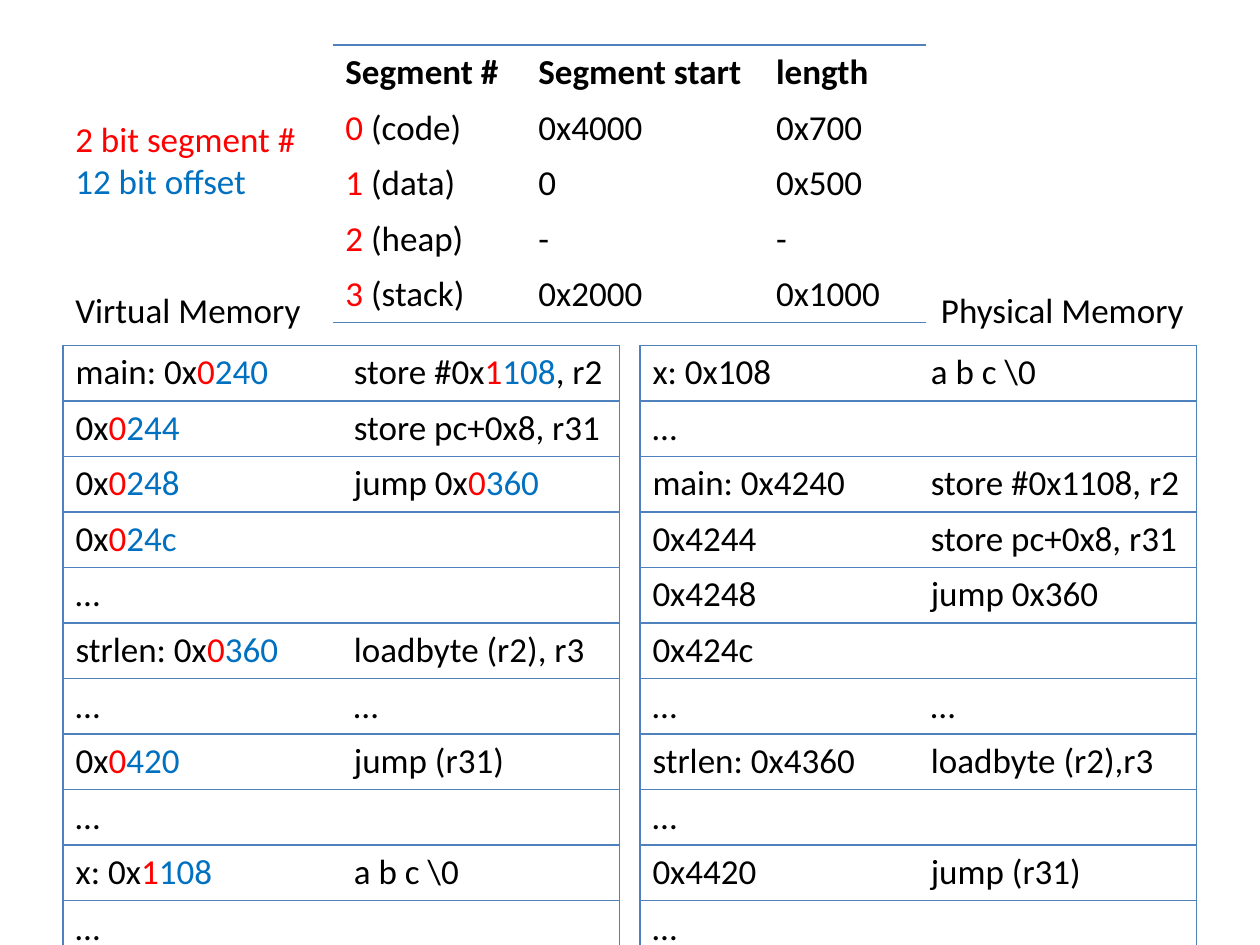
import pptx
import pptx.dml.color
import pptx.enum.text
import pptx.oxml
import pptx.oxml.ns
import pptx.util
from pptx.util import Cm

BLACK = pptx.dml.color.RGBColor(0x00, 0x00, 0x00)
WHITE = pptx.dml.color.RGBColor(0xFF, 0xFF, 0xFF)
SEGMENT_RED = pptx.dml.color.RGBColor(0xFF, 0x00, 0x00)
OFFSET_BLUE = pptx.dml.color.RGBColor(0x00, 0x70, 0xC0)
RULE_BLUE = pptx.dml.color.RGBColor(0x4F, 0x81, 0xBD)

FONT_FORMAT = {"name": "Calibri", "size": pptx.util.Pt(20), "bold": False}
HEADER_FORMAT = {**FONT_FORMAT, "bold": True}
LABEL_FORMAT = {
    "word_wrap": False,
    "auto_size": pptx.enum.text.MSO_AUTO_SIZE.SHAPE_TO_FIT_TEXT,
}
PLAIN_TABLE_FORMAT = {"first_row": False, "horz_banding": False}
NO_STYLE = "{2D5ABB26-0587-4C30-8999-92F81FD0307C}"

ROW_HEIGHT = Cm(1.04)
MARGIN = Cm(1.27)
MEMORY_TOP = Cm(6.96)
MEMORY_COLUMNS = [Cm(5.61)] * 2
PHYSICAL_LEFT = Cm(12.9)

SEGMENTS = [
    ("Segment #", "Segment start", "length"),
    ("0 (code)", "0x4000", "0x700"),
    ("1 (data)", "0", "0x500"),
    ("2 (heap)", "-", "-"),
    ("3 (stack)", "0x2000", "0x1000"),
]
VIRTUAL_MEMORY = [
    ("main: 0x0240", "store #0x1108, r2"),
    ("0x0244", "store pc+0x8, r31"),
    ("0x0248", "jump 0x0360"),
    ("0x024c", ""),
    ("…", ""),
    ("strlen: 0x0360", "loadbyte (r2), r3"),
    ("…", "…"),
    ("0x0420", "jump (r31)"),
    ("…", ""),
    ("x: 0x1108", "a b c \\0"),
    ("…", ""),
]
PHYSICAL_MEMORY = [
    ("x: 0x108", "a b c \\0"),
    ("…", ""),
    ("main: 0x4240", "store #0x1108, r2"),
    ("0x4244", "store pc+0x8, r31"),
    ("0x4248", "jump 0x360"),
    ("0x424c", ""),
    ("…", "…"),
    ("strlen: 0x4360", "loadbyte (r2),r3"),
    ("…", ""),
    ("0x4420", "jump (r31)"),
    ("…", ""),
]


def apply_format(target, values):
    """Set each named attribute of target."""
    for name, value in values.items():
        setattr(target, name, value)


def write_runs(paragraph, runs, font_format=FONT_FORMAT):
    """Add (text, colour) runs to a paragraph, skipping empty ones."""
    for text, colour in runs:
        if text:
            run = paragraph.add_run()
            run.text = text
            apply_format(run.font, font_format)
            run.font.color.rgb = colour


def plain_runs(text, row, column):
    """Keep the text in one black run."""
    return [(text, BLACK)]


def address_runs(text, row, column):
    """Colour the segment digit and the offset of a four-digit address."""
    before, prefix, after = text.partition("0x")
    address = after[:4]
    if len(address) < 4 or not set(address) <= set("0123456789abcdef"):
        return plain_runs(text, row, column)
    return [(before + prefix, BLACK), (address[0], SEGMENT_RED),
            (address[1:], OFFSET_BLUE), (after[4:], BLACK)]


def segment_runs(text, row, column):
    """Colour the segment number that opens each body row."""
    if row and column == 0:
        return [(text[0], SEGMENT_RED), (text[1:], BLACK)]
    return plain_runs(text, row, column)


def memory_sides(row, column, row_count):
    """Rule every row and close the outer left and right sides."""
    return ("L" if column == 0 else "R") + "TB"


def segment_sides(row, column, row_count):
    """Rule above and below the header and below the last row."""
    return {0: "TB", row_count - 1: "B"}.get(row, "")


def draw_borders(cell, sides):
    """Draw one-point rules on the given sides and clear the others."""
    properties = cell._tc.get_or_add_tcPr()
    for side in "LRTB":
        paint = (f'<a:solidFill><a:srgbClr val="{RULE_BLUE}"/></a:solidFill>'
                 if side in sides else "<a:noFill/>")
        properties.append(pptx.oxml.parse_xml(
            f'<a:ln{side} {pptx.oxml.ns.nsdecls("a")} w="12700">{paint}</a:ln{side}>'))


def add_grid(slide, left, top, widths, height, rows, runs_for, sides_for,
             fill=None, header_format=FONT_FORMAT):
    """Add a ruled table whose text and borders follow the given rules."""
    frame = slide.shapes.add_table(len(rows), len(widths), left, top,
                                   sum(widths), height)
    grid = frame.table
    apply_format(grid, PLAIN_TABLE_FORMAT)
    grid._tbl.tblPr.find(pptx.oxml.ns.qn("a:tableStyleId")).text = NO_STYLE
    for column, width in zip(grid.columns, widths):
        column.width = width
    for r, texts in enumerate(rows):
        grid.rows[r].height = ROW_HEIGHT
        for c, text in enumerate(texts):
            cell = grid.cell(r, c)
            draw_borders(cell, sides_for(r, c, len(rows)))
            if fill is None:
                cell.fill.background()
            else:
                cell.fill.solid()
                cell.fill.fore_color.rgb = fill
            write_runs(cell.text_frame.paragraphs[0], runs_for(text, r, c),
                       FONT_FORMAT if r else header_format)
    frame.height = height


def add_label(slide, left, top, width, height, lines):
    """Add an unwrapped text box with one (text, colour) pair per line."""
    frame = slide.shapes.add_textbox(left, top, width, height).text_frame
    apply_format(frame, LABEL_FORMAT)
    for i, line in enumerate(lines):
        paragraph = frame.add_paragraph() if i else frame.paragraphs[0]
        write_runs(paragraph, [line])


def main():
    """Build the segmentation slide."""
    deck = pptx.Presentation()
    apply_format(deck, {"slide_width": Cm(25.4), "slide_height": Cm(19.05)})
    slide = deck.slides.add_slide(deck.slide_layouts[6])

    for left, rows, runs_for in (
        (MARGIN, VIRTUAL_MEMORY, address_runs),
        (PHYSICAL_LEFT, PHYSICAL_MEMORY, plain_runs),
    ):
        add_grid(slide, left, MEMORY_TOP, MEMORY_COLUMNS, Cm(12.12), rows,
                 runs_for, memory_sides, fill=WHITE)
    add_grid(slide, Cm(6.71), Cm(0.91), [Cm(3.89), Cm(4.79), Cm(3.28)], Cm(5.51),
             SEGMENTS, segment_runs, segment_sides, header_format=HEADER_FORMAT)

    add_label(slide, MARGIN, Cm(5.69), Cm(5.08), Cm(1.11),
              [("Virtual Memory", BLACK)])
    add_label(slide, Cm(18.72), Cm(5.69), Cm(5.44), Cm(1.11),
              [("Physical Memory", BLACK)])
    add_label(slide, MARGIN, Cm(2.24), Cm(5), Cm(1.96),
              [("2 bit segment #", SEGMENT_RED), ("12 bit offset", OFFSET_BLUE)])
    deck.save("out.pptx")


main()
